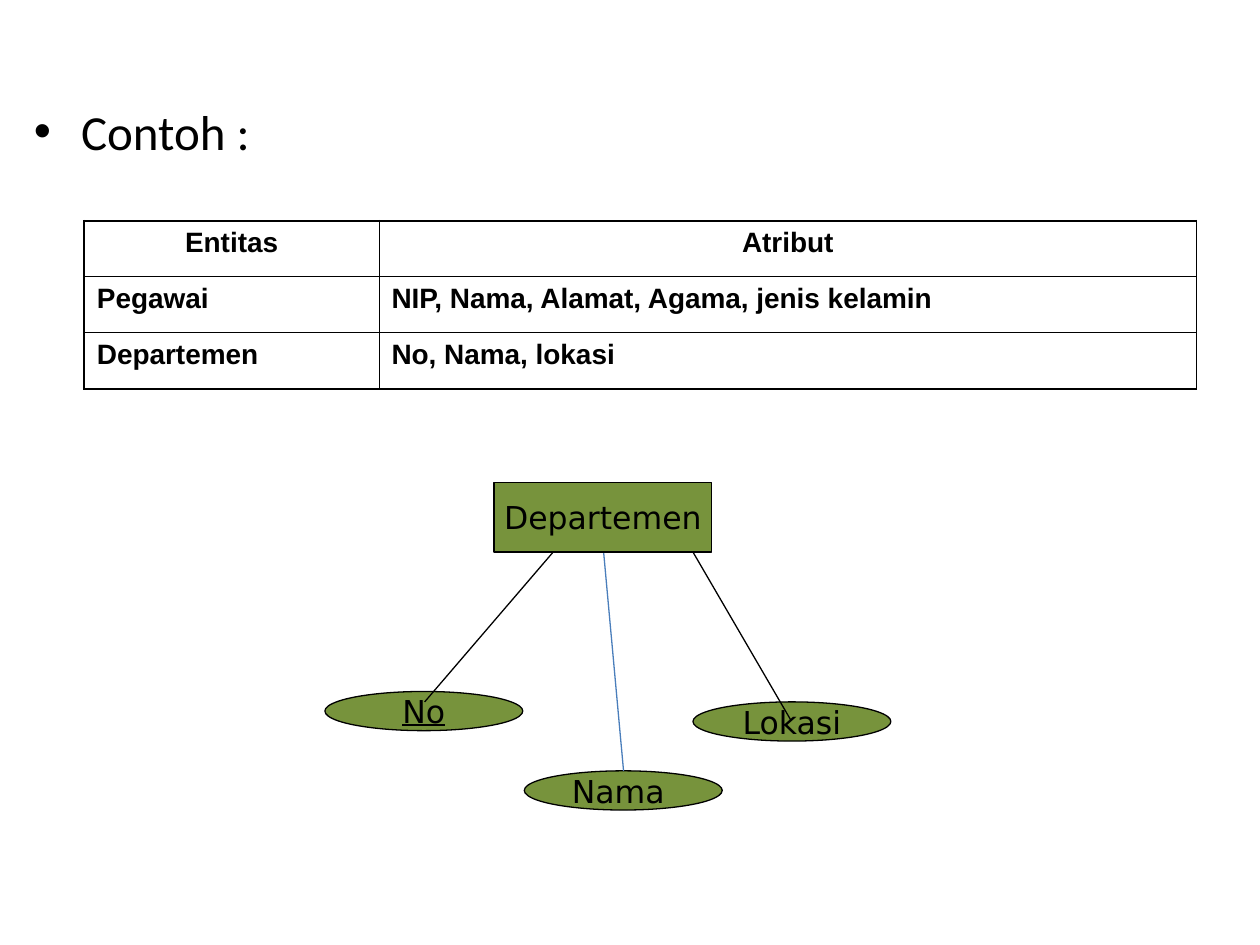
from dataclasses import dataclass

from lxml.etree import SubElement
from pptx import Presentation
from pptx.dml.color import RGBColor
from pptx.enum.shapes import MSO_CONNECTOR, MSO_SHAPE
from pptx.enum.text import MSO_ANCHOR, MSO_AUTO_SIZE, PP_ALIGN
from pptx.oxml.ns import qn
from pptx.shapes.autoshape import Shape
from pptx.table import _Cell
from pptx.util import Cm, Pt


@dataclass(frozen=True)
class Theme:
    ink: str = "000000"
    node_fill: str = "77933C"
    accent_line: str = "4A7EBB"
    body_font: str = "Calibri"
    table_font: str = "Arial"
    node_font: str = "DejaVu Sans"
    body_size: float = 28
    table_size: float = 16
    node_size: float = 18
    line_width: float = 0.75
    outer_border: float = 1.08
    inner_border: float = 0.45


@dataclass(frozen=True)
class Node:
    text: str
    left: float
    top: float
    width: float = 3.99
    height: float = 0.79
    kind: MSO_SHAPE = MSO_SHAPE.OVAL
    underline: bool = False


@dataclass(frozen=True)
class Link:
    start: tuple[float, float]
    end: tuple[float, float]
    color: str


THEME = Theme()

ROWS = [
    ("Entitas", "Atribut"),
    ("Pegawai", "NIP, Nama, Alamat, Agama, jenis kelamin"),
    ("Departemen", "No, Nama, lokasi"),
]
COLUMN_WIDTHS = (5.94, 16.48)
ROW_HEIGHT = 1.13

NODES = [
    Node("Departemen", 9.96, 9.73, 4.39, 1.4, MSO_SHAPE.RECTANGLE),
    Node("No", 6.55, 13.94, underline=True),
    Node("Nama ", 10.57, 15.54),
    Node("Lokasi", 13.97, 14.15),
]
GROUP_LINKS = [
    Link((11.15, 11.13), (8.56, 14.15), THEME.ink),
    Link((13.97, 11.13), (15.95, 14.53), THEME.ink),
]
NAME_LINK = Link((12.17, 11.15), (12.57, 15.54), THEME.accent_line)


def format_paragraph(paragraph, font_name: str, size: float, align: PP_ALIGN, **extra) -> None:
    paragraph.alignment = align
    paragraph.space_before = Pt(0)
    values = {"name": font_name, "size": Pt(size), **extra}
    for run in paragraph.runs:
        for name, value in values.items():
            setattr(run.font, name, value)
        run.font.color.rgb = RGBColor.from_string(THEME.ink)


def fill_body(body: Shape) -> None:
    box = {"left": 0.43, "top": 1.91, "width": 23.7, "height": 16.51}
    for name, value in box.items():
        setattr(body, name, Cm(value))
    body.text_frame.text = "Contoh :"
    body.text_frame.auto_size = MSO_AUTO_SIZE.NONE
    paragraph = body.text_frame.paragraphs[0]
    format_paragraph(paragraph, THEME.body_font, THEME.body_size, PP_ALIGN.LEFT)
    properties = paragraph._p.get_or_add_pPr()
    properties.set("marL", str(Cm(0.95)))
    properties.set("indent", str(-Cm(0.95)))
    SubElement(properties, qn("a:buFont"), typeface="Arial")
    SubElement(properties, qn("a:buChar"), char="•")


def set_borders(cell: _Cell, widths: dict[str, float]) -> None:
    properties = cell._tc.get_or_add_tcPr()
    for side, width in widths.items():
        line = SubElement(properties, qn(f"a:ln{side}"), w=str(Pt(width)))
        fill = SubElement(line, qn("a:solidFill"))
        SubElement(fill, qn("a:srgbClr"), val=THEME.ink)


def add_entity_table(shapes) -> None:
    last_row, last_column = len(ROWS) - 1, len(COLUMN_WIDTHS) - 1
    table = shapes.add_table(
        len(ROWS), len(COLUMN_WIDTHS), Cm(1.7), Cm(4.45),
        Cm(sum(COLUMN_WIDTHS)), Cm(ROW_HEIGHT * len(ROWS)),
    ).table
    table.first_row = table.horz_banding = False
    for column, width in zip(table.columns, COLUMN_WIDTHS):
        column.width = Cm(width)
    for row_index, texts in enumerate(ROWS):
        table.rows[row_index].height = Cm(ROW_HEIGHT)
        align = PP_ALIGN.LEFT if row_index else PP_ALIGN.CENTER
        for column_index, text in enumerate(texts):
            cell = table.cell(row_index, column_index)
            cell.text = text
            format_paragraph(cell.text_frame.paragraphs[0], THEME.table_font,
                             THEME.table_size, align, bold=True)
            is_outer = {
                "L": column_index == 0,
                "R": column_index == last_column,
                "T": row_index == 0,
                "B": row_index == last_row,
            }
            set_borders(cell, {side: THEME.outer_border if outer else THEME.inner_border
                               for side, outer in is_outer.items()})
            cell.fill.background()


def add_node(shapes, node: Node) -> None:
    shape = shapes.add_shape(node.kind, Cm(node.left), Cm(node.top),
                             Cm(node.width), Cm(node.height))
    shape.shadow.inherit = False
    shape.fill.solid()
    shape.fill.fore_color.rgb = RGBColor.from_string(THEME.node_fill)
    shape.line.color.rgb = RGBColor.from_string(THEME.ink)
    shape.line.width = Pt(THEME.line_width)
    frame = shape.text_frame
    frame.text = node.text
    frame.word_wrap = False
    frame.vertical_anchor = MSO_ANCHOR.MIDDLE
    format_paragraph(frame.paragraphs[0], THEME.node_font, THEME.node_size,
                     PP_ALIGN.CENTER, underline=node.underline)


def add_link(shapes, link: Link) -> None:
    ends = [Cm(value) for value in link.start + link.end]
    connector = shapes.add_connector(MSO_CONNECTOR.STRAIGHT, *ends)
    connector.line.color.rgb = RGBColor.from_string(link.color)
    connector.line.width = Pt(THEME.line_width)
    SubElement(connector._element.spPr, qn("a:effectLst"))


def main() -> None:
    presentation = Presentation()
    presentation.slide_width, presentation.slide_height = Cm(25.4), Cm(19.05)
    slide = presentation.slides.add_slide(presentation.slide_layouts[1])

    # The slide has no heading
    title = slide.shapes.title._element
    title.getparent().remove(title)

    # Bullet and table
    fill_body(slide.placeholders[1])
    add_entity_table(slide.shapes)

    # Entity diagram
    diagram = slide.shapes.add_group_shape()
    for node in NODES:
        add_node(diagram.shapes, node)
    for link in GROUP_LINKS:
        add_link(diagram.shapes, link)
    add_link(slide.shapes, NAME_LINK)

    presentation.save("out.pptx")


if __name__ == "__main__":
    main()
